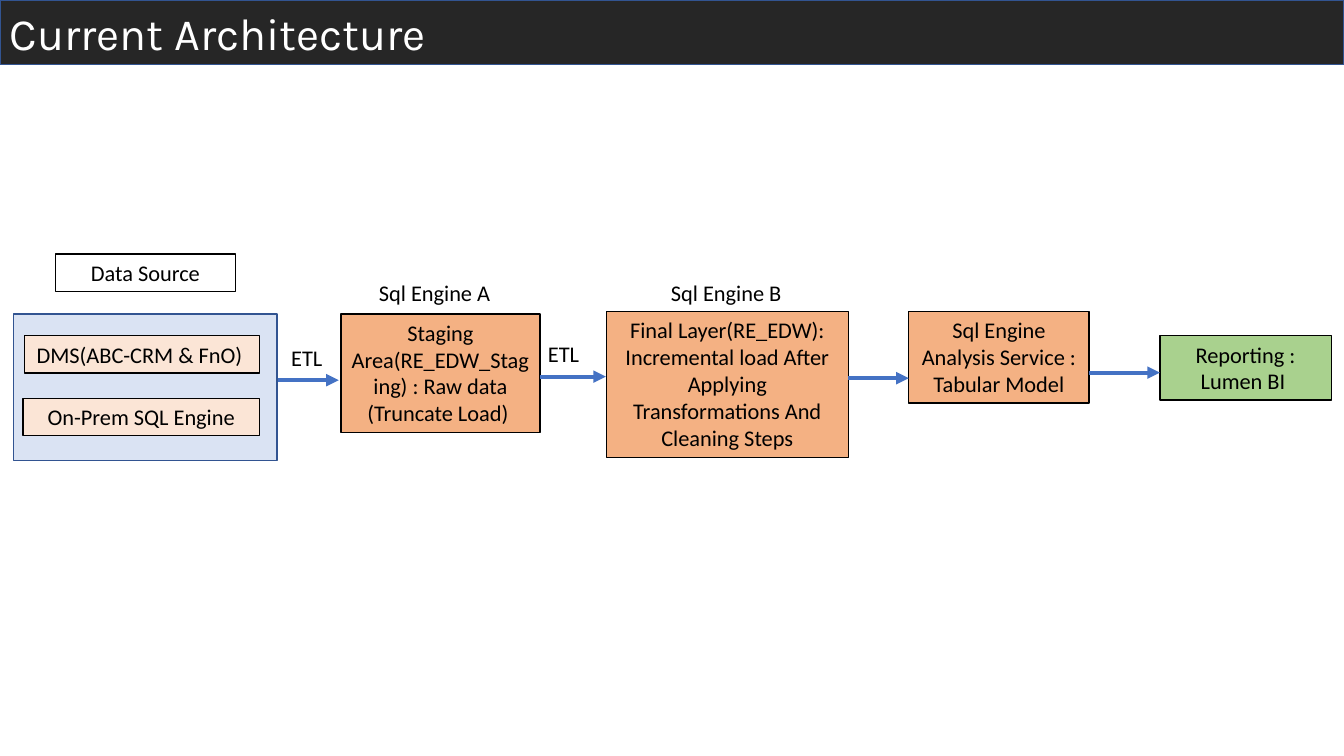
import pptx
import pptx.util
import pptx.dml.color
import pptx.enum.shapes
import pptx.enum.text
import pptx.oxml
import pptx.oxml.ns
from pptx.util import Cm

COLORS = {
    "bar": "262626", "outline": "325491", "source": "DAE3F3", "system": "FBE5D6",
    "stage": "F4B183", "report": "A9D18E", "arrow": "4472C4",
    "black": "000000", "white": "FFFFFF",
}
ALIGN = pptx.enum.text.PP_ALIGN
ANCHOR = pptx.enum.text.MSO_ANCHOR


def color(name):
    return pptx.dml.color.RGBColor.from_string(COLORS[name])


def write(shape, text, align, size=16, font="Calibri", ink="black", anchor=ANCHOR.TOP):
    frame = shape.text_frame
    frame.word_wrap = True
    frame.vertical_anchor = anchor
    frame.text = text
    for paragraph in frame.paragraphs:
        paragraph.alignment = align
        paragraph.font.size = pptx.util.Pt(size)
        paragraph.font.name = font
        paragraph.font.color.rgb = color(ink)


presentation = pptx.Presentation()
presentation.slide_width = Cm(33.87)
presentation.slide_height = Cm(19.05)
slide = presentation.slides.add_slide(presentation.slide_layouts[6])

# Boxes: left, top, width, height, fill, line, text
boxes = [
    (0, 0, 33.87, 1.63, "bar", "outline", "Current Architecture"),
    (0.34, 7.91, 6.64, 3.69, "source", "outline", ""),
    (1.4, 6.4, 4.53, 0.94, None, "black", "Data Source"),
    (0.62, 8.46, 5.92, 0.94, "system", "black", "DMS(ABC-CRM & FnO) "),
    (0.58, 10.04, 5.96, 0.94, "system", "black", "On-Prem SQL Engine"),
    (8.59, 7.91, 5.02, 2.99, "stage", "black",
     "Staging Area(RE_EDW_Staging) : Raw data\n(Truncate Load) "),
    (15.28, 7.85, 6.1, 3.68, "stage", "black",
     "Final Layer(RE_EDW): Incremental load After Applying Transformations And Cleaning Steps"),
    (22.9, 7.85, 4.55, 2.31, "stage", "black",
     "Sql Engine Analysis Service : Tabular Model"),
    (29.23, 8.46, 4.32, 1.62, "report", "black", "Reporting : Lumen BI "),
]
for left, top, width, height, fill, line, text in boxes:
    box = slide.shapes.add_shape(
        pptx.enum.shapes.MSO_SHAPE.RECTANGLE, Cm(left), Cm(top), Cm(width), Cm(height))
    box.shadow.inherit = False
    if fill:
        box.fill.solid()
        box.fill.fore_color.rgb = color(fill)
    else:
        box.fill.background()
    box.line.color.rgb = color(line)
    box.line.width = pptx.util.Pt(1)
    if fill == "bar":
        write(box, text, ALIGN.LEFT, 32, "Karla", "white", ANCHOR.MIDDLE)
    elif text:
        write(box, text, ALIGN.CENTER)

# Labels: text, left, top, width
labels = [
    ("Sql Engine A", 9.3, 6.91, 4.09),
    ("Sql Engine B", 16.66, 6.91, 4.09),
    ("ETL", 7.09, 8.55, 1.57),
    ("ETL", 13.56, 8.45, 1.78),
]
for text, left, top, width in labels:
    label = slide.shapes.add_textbox(Cm(left), Cm(top), Cm(width), Cm(0.94))
    write(label, text, ALIGN.LEFT)

# Flow arrows: start, end, height on the slide
for start, end, level in [(7, 8.54, 9.58), (13.61, 15.27, 9.49),
                          (21.37, 22.9, 9.53), (27.45, 29.23, 9.39)]:
    arrow = slide.shapes.add_connector(
        pptx.enum.shapes.MSO_CONNECTOR.STRAIGHT, Cm(start), Cm(level), Cm(end), Cm(level))
    arrow.line.color.rgb = color("arrow")
    arrow.line.width = pptx.util.Pt(3)
    head = pptx.oxml.parse_xml(
        f'<a:tailEnd {pptx.oxml.ns.nsdecls("a")} type="triangle"/>')
    arrow.line._get_or_add_ln().append(head)
    properties = arrow._element.spPr
    properties.append(pptx.oxml.parse_xml(f'<a:effectLst {pptx.oxml.ns.nsdecls("a")}/>'))

presentation.save("out.pptx")
